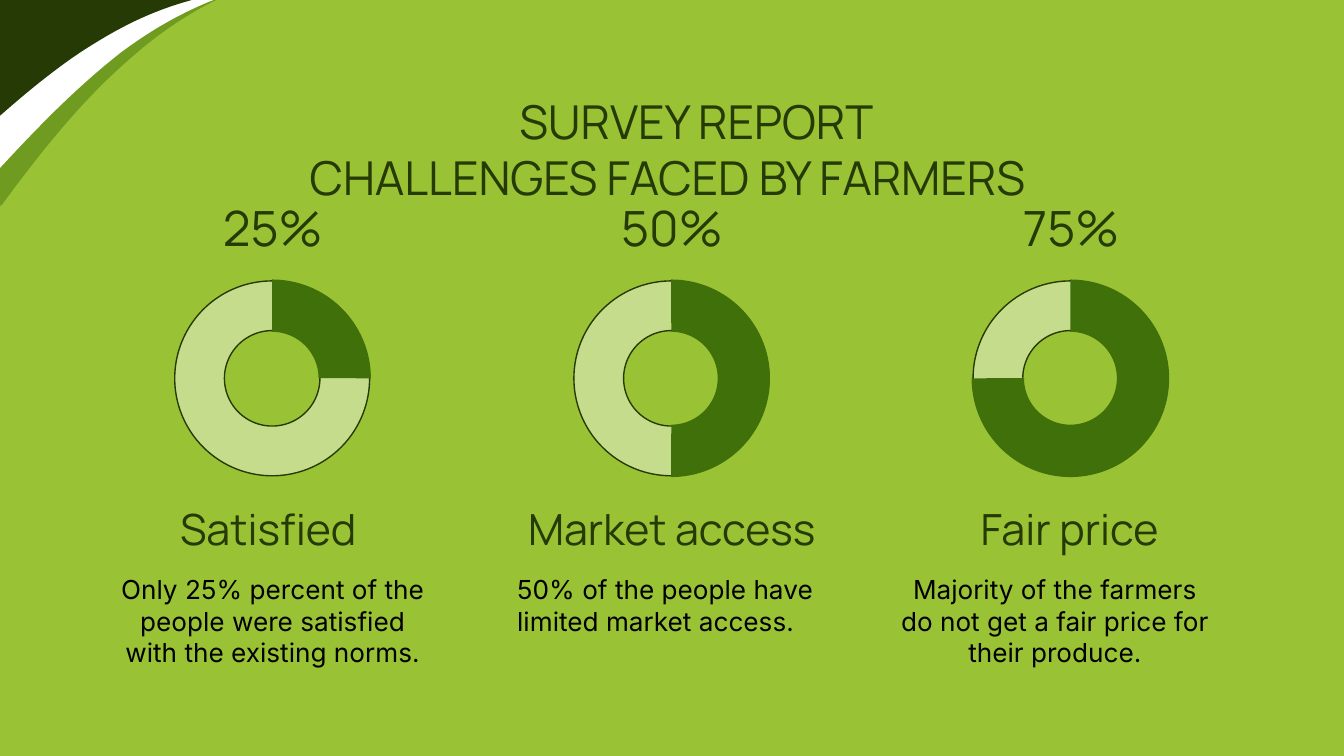
from pptx import Presentation
from pptx.dml.color import RGBColor
from pptx.enum.shapes import MSO_SHAPE as SHAPE
from pptx.enum.text import MSO_ANCHOR as ANCHOR, MSO_AUTO_SIZE as AUTO, PP_ALIGN as ALIGN
from pptx.oxml.ns import qn
from pptx.util import Inches, Pt
from lxml import etree

COLORS = {"bg": "9AC235", "dark": "253A04", "green": "40700A",
          "white": "FFFFFF", "black": "000000"}

# Corner waves, back to front: colour, opacity, start point and cubic segments
WAVES = [
    ("green", 47, (0.01, 1.53), [((0.29, 1.15), (0.58, 0.78), (0.93, 0.47)),
                                 ((1.25, 0.18), (1.62, -0.06), (2.15, -0.2))]),
    ("white", 100, (-0.11, 1.37), [((0.21, 1.02), (0.53, 0.68), (0.9, 0.39)),
                                   ((1.25, 0.13), (1.64, -0.07), (2.17, -0.16))]),
    ("dark", 100, (-0.26, 1.09), [((0.06, 0.81), (0.37, 0.52), (0.74, 0.3)),
                                  ((1.07, 0.1), (1.44, -0.05), (1.93, -0.08))]),
]

# Title lines and their left indents: the first sits a little right of centre
TITLE = [("SURVEY REPORT", 0.36), ("CHALLENGES FACED BY FARMERS ", 0)]

# Share, label, label left, description, description left, alignment
RESULTS = [
    (0.25, "Satisfied ", 0.78, "Only 25% percent of the people were satisfied "
     "with the existing norms.", 0.78, ALIGN.CENTER),
    (0.50, "Market access", 3.75, "50% of the people have limited market access.",
     3.75, ALIGN.LEFT),
    (0.75, "Fair price", 6.71, "Majority of the farmers do not get a fair price "
     "for their produce.", 6.6, ALIGN.CENTER),
]


def rgb(name):
    return RGBColor.from_string(COLORS[name])


def paint(sp, color, opacity=100, line=None):
    sp.shadow.inherit = False
    sp.fill.solid()
    sp.fill.fore_color.rgb = rgb(color)
    if opacity < 100:
        clr = sp._element.spPr.find(qn("a:solidFill"))[0]
        etree.SubElement(clr, qn("a:alpha")).set("val", str(opacity * 1000))
    if line:
        sp.line.color.rgb = rgb(line)
        sp.line.width = Pt(0.75)
    else:
        sp.line.fill.background()


def add_run(p, text, font, size, color):
    r = p.add_run()
    r.text = text
    r.font.name = font
    r.font.size = Pt(size)
    r.font.color.rgb = rgb(color)


def set_frame(tf, anchor):
    tf.word_wrap = True
    tf.auto_size = AUTO.NONE
    tf.vertical_anchor = anchor
    tf.margin_left = tf.margin_right = tf.margin_top = tf.margin_bottom = Inches(0.1)


def add_text(s, box, text, font, size, color, anchor, align=ALIGN.CENTER):
    tf = s.shapes.add_textbox(*map(Inches, box)).text_frame
    set_frame(tf, anchor)
    p = tf.paragraphs[0]
    p.alignment = align
    add_run(p, text, font, size, color)


def add_wave(s, color, opacity, start, segments, steps=16):
    points = [start]
    for c1, c2, end in segments:
        p0 = points[-1]
        for i in range(1, steps + 1):
            t = i / steps
            u = 1 - t
            points.append(tuple(u**3 * a + 3 * u * u * t * b + 3 * u * t * t * c + t**3 * d
                                for a, b, c, d in zip(p0, c1, c2, end)))
    # Close the outline beyond the slide's corner
    points += [(2.05, -0.6), (-0.6, -0.6), (-0.6, start[1])]
    points = [(Inches(x), Inches(y)) for x, y in points]
    fb = s.shapes.build_freeform(*points[0])
    fb.add_line_segments(points[1:], close=True)
    paint(fb.convert_to_shape(), color, opacity)


def add_title(s):
    sp = s.shapes.title
    sp.left, sp.top, sp.width, sp.height = map(Inches, (0.78, 0.59, 8.44, 0.63))
    tf = sp.text_frame
    set_frame(tf, ANCHOR.TOP)
    for i, (text, indent) in enumerate(TITLE):
        p = tf.add_paragraph() if i else tf.paragraphs[0]
        p.alignment = ALIGN.CENTER
        pPr = p._p.get_or_add_pPr()
        pPr.set("marL", str(Inches(indent)))
        pPr.set("indent", "0")
        add_run(p, text, "Manrope", 25, "dark")


def add_ring(s, center, share):
    ring = s.shapes.add_shape(SHAPE.DONUT, Inches(center - 0.73), Inches(2.09),
                              Inches(1.45), Inches(1.45))
    ring.adjustments[0] = 0.255
    paint(ring, "white", 44, "dark")
    arc = s.shapes.add_shape(SHAPE.BLOCK_ARC, Inches(center - 0.74), Inches(2.08),
                             Inches(1.47), Inches(1.47))
    # Mirrored arc ending at the top; 0.6 adjustment units per degree
    arc._element.spPr.xfrm.set("flipH", "1")
    for i, value in enumerate(((270 - 360 * share) * 0.6, 270 * 0.6, 0.265)):
        arc.adjustments[i] = value
    paint(arc, "green")


def main():
    prs = Presentation()
    prs.slide_width, prs.slide_height = Inches(10), Inches(10 * 9 / 16)
    s = prs.slides.add_slide(prs.slide_layouts[5])
    s.background.fill.solid()
    s.background.fill.fore_color.rgb = rgb("bg")

    # Corner decoration and title
    for wave in WAVES:
        add_wave(s, *wave)
    add_title(s)

    # One column per survey result
    for i, (share, label, label_x, text, text_x, align) in enumerate(RESULTS):
        center = 2.03 + 2.97 * i
        add_text(s, (center - 0.6, 1.48, 1.2, 0.42), f"{share:.0%}",
                 "Manrope", 26, "dark", ANCHOR.MIDDLE)
        add_ring(s, center, share)
        add_text(s, (label_x, 3.72, 2.5, 0.5), label, "Manrope", 23, "dark", ANCHOR.BOTTOM)
        add_text(s, (text_x, 4.17, 2.5, 0.87), text, "Inter", 14, "black", ANCHOR.TOP, align)

    prs.save("out.pptx")


if __name__ == "__main__":
    main()
